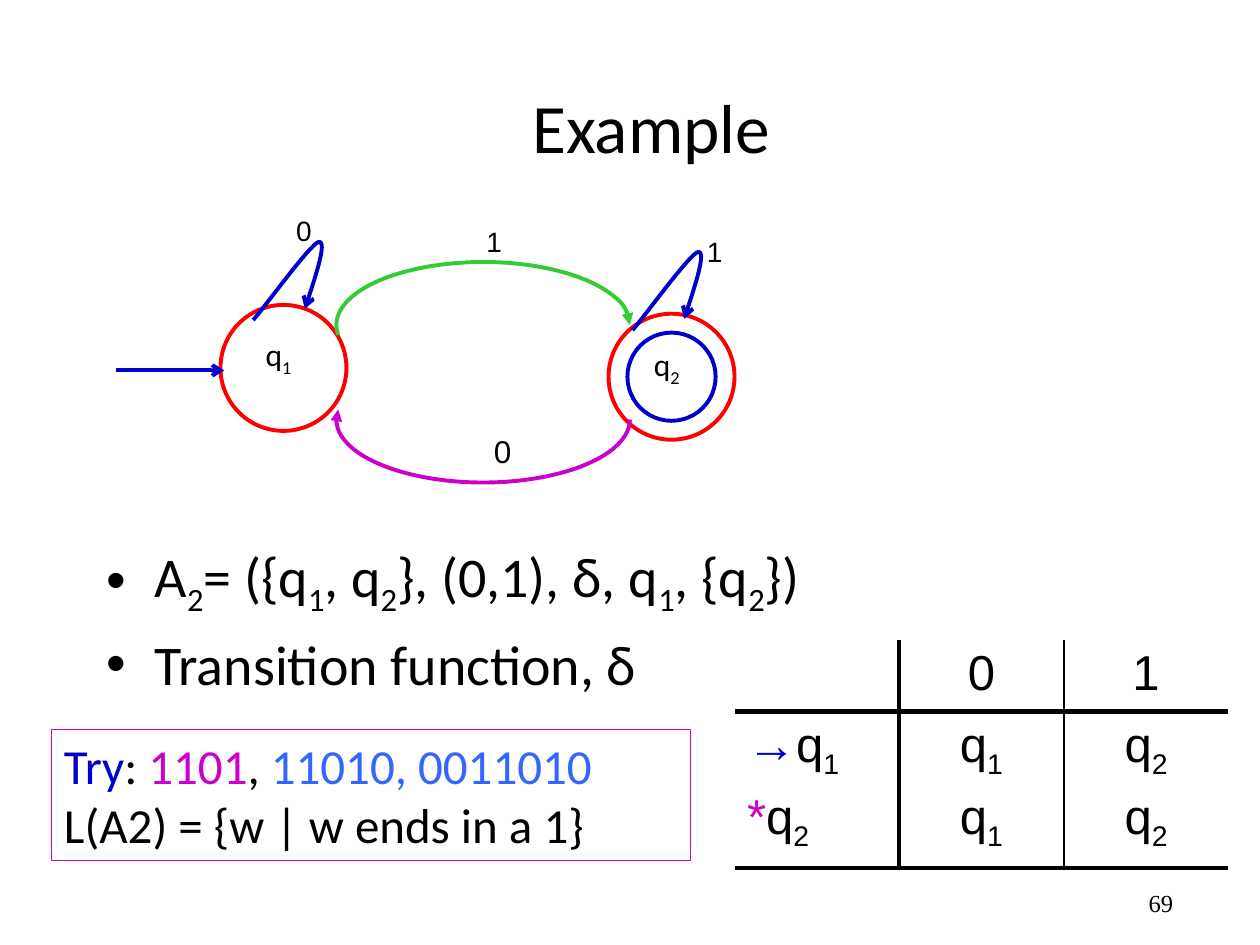
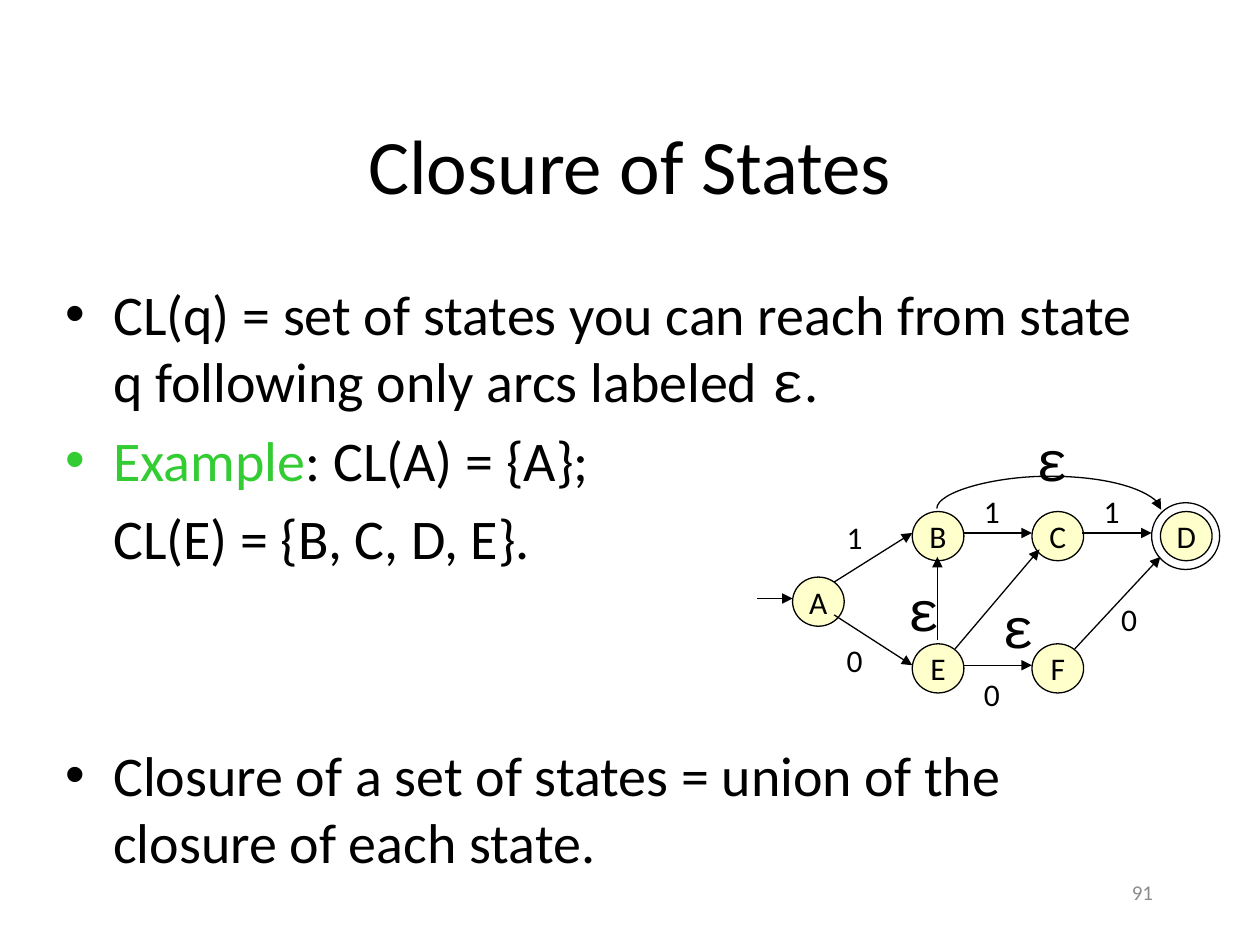
from dataclasses import dataclass
from typing import NamedTuple

from lxml.etree import SubElement
from pptx import Presentation
from pptx.dml.color import RGBColor
from pptx.enum.shapes import MSO_CONNECTOR, MSO_SHAPE
from pptx.enum.text import MSO_ANCHOR, PP_ALIGN
from pptx.oxml.ns import qn
from pptx.util import Inches, Pt

COLORS = {
    "black": "000000", "red": "FF0000", "navy": "0000CC", "sky": "3366FF",
    "green": "33CC33", "magenta": "CC00CC", "yellow": "FFFF99", "gray": "8C8C8C",
}
PLAIN_TABLE = "{2D5ABB26-0587-4C30-8999-92F81FD0307C}"
LEFT, CENTER, RIGHT = PP_ALIGN.LEFT, PP_ALIGN.CENTER, PP_ALIGN.RIGHT
Point = tuple[float, float]


class Run(NamedTuple):
    """Text in which an underscore lowers the next character."""
    text: str
    color: str | None = None
    font: str | None = None


@dataclass
class Para:
    runs: list[Run]
    bullet: bool = False
    indent: float = 0
    before: float = 0


class State(NamedTuple):
    name: str
    left: float
    top: float


class Arrow(NamedTuple):
    start: Point
    end: Point


class Label(NamedTuple):
    text: str
    left: float
    top: float
    size: float = 18


def rgb(color: str) -> RGBColor:
    return RGBColor.from_string(COLORS[color])


def box(left: float, top: float, width: float, height: float) -> list:
    return [Inches(v) for v in (left, top, width, height)]


# Text
def write(frame, content, *, size=18.0, font="Calibri", color="black",
          align=LEFT, anchor=MSO_ANCHOR.TOP, wrap=True) -> None:
    """Fill a text frame with a string or a list of Para."""
    if wrap is not None:
        frame.word_wrap = wrap
        frame.vertical_anchor = anchor
    paras = [Para([Run(content)])] if isinstance(content, str) else content
    for i, para in enumerate(paras):
        paragraph = frame.paragraphs[0] if i == 0 else frame.add_paragraph()
        paragraph.alignment = align
        paragraph.space_before = Pt(para.before)
        props = paragraph._p.get_or_add_pPr()
        if para.indent:
            props.set("marL", str(Inches(para.indent)))
            props.set("indent", str(-Inches(para.indent) if para.bullet else 0))
        if para.bullet:
            SubElement(props, qn("a:buFont"), typeface="Arial")
            SubElement(props, qn("a:buChar"), char="•")
        for run in para.runs:
            first, *rest = run.text.split("_")
            pieces = [(first, False)]
            for part in rest:
                pieces += [(part[0], True), (part[1:], False)]
            for text, lowered in pieces:
                if not text:
                    continue
                piece = paragraph.add_run()
                piece.text = text
                piece.font.size = Pt(size)
                piece.font.name = run.font or font
                piece.font.color.rgb = rgb(run.color or color)
                if lowered:
                    piece._r.get_or_add_rPr().set("baseline", "-25000")


def add_text(slide, area, content, **style) -> None:
    write(slide.shapes.add_textbox(*box(*area)).text_frame, content, **style)


def add_title(slide, area, text: str, size: float) -> None:
    add_text(slide, area, text, size=size, align=CENTER, anchor=MSO_ANCHOR.MIDDLE)


# Outlines and arrows
def outline(shape, color: str, width: float, head="", tail="") -> None:
    shape.line.color.rgb = rgb(color)
    shape.line.width = Pt(width)
    line = shape.line._get_or_add_ln()
    for tag, kind in (("a:headEnd", head), ("a:tailEnd", tail)):
        if kind:
            SubElement(line, qn(tag), type=kind)


def add_shape(slide, preset, area, color: str, width: float, fill="", **ends):
    shape = slide.shapes.add_shape(preset, *box(*area))
    shape.shadow.inherit = False
    if fill:
        shape.fill.solid()
        shape.fill.fore_color.rgb = rgb(fill)
        tint = shape._element.spPr.find(".//" + qn("a:srgbClr"))
        SubElement(tint, qn("a:alpha"), val="50000")
    else:
        shape.fill.background()
    outline(shape, color, width, **ends)
    return shape


def add_arrow(slide, arrow: Arrow, color="black", width=0.75, tail="triangle",
              kind=MSO_CONNECTOR.STRAIGHT):
    ends = [Inches(v) for v in (*arrow.start, *arrow.end)]
    connector = slide.shapes.add_connector(kind, *ends)
    outline(connector, color, width, tail=tail)
    SubElement(connector._element.spPr, qn("a:effectLst"))
    return connector


def add_self_loop(slide, left: float, top: float) -> None:
    """Loop arrow made of two cubic curves, its tip at the first point."""
    curves = [((0.41, 0.53), (0.5, 0.26), (0.59, -0.01), (0.52, 0)),
              ((0.52, 0), (0.45, 0.02), (0.09, 0.52), (0, 0.62))]
    steps = 16
    points = []
    for curve in curves:
        for step in range(steps + 1):
            t = step / steps
            weights = ((1 - t) ** 3, 3 * t * (1 - t) ** 2, 3 * t * t * (1 - t), t ** 3)
            x, y = (sum(w * p[axis] for w, p in zip(weights, curve)) for axis in (0, 1))
            points.append((Inches(left + x), Inches(top + y)))
    builder = slide.shapes.build_freeform(*points[0])
    builder.add_line_segments(points[1:], close=False)
    loop = builder.convert_to_shape()
    loop.shadow.inherit = False
    loop.fill.background()
    outline(loop, "navy", 2.25, head="arrow")


# Tables
def add_plain_table(slide, area, rows: int, columns: int):
    table = slide.shapes.add_table(rows, columns, *box(*area)).table
    table.first_row = table.horz_banding = False
    table._tbl.tblPr.find(qn("a:tableStyleId")).text = PLAIN_TABLE
    return table


def set_borders(cell, **widths: float) -> None:
    props = cell._tc.get_or_add_tcPr()
    for side in "LRTB":
        if widths.get(side):
            line = SubElement(props, qn(f"a:ln{side}"), w=str(Pt(widths[side])))
            fill = SubElement(line, qn("a:solidFill"))
            SubElement(fill, qn("a:srgbClr"), val=COLORS["black"])


def add_arc_label(slide, label: Label) -> None:
    cell = add_plain_table(slide, (label.left, label.top, 0.32, 0.37), 1, 1).cell(0, 0)
    cell.fill.background()
    write(cell.text_frame, label.text, size=label.size, font="Arial", wrap=None)


def add_transition_table(slide) -> None:
    def pair(first: list[Run], second: list[Run]) -> list[Para]:
        return [Para(first), Para(second, before=5.6)]

    rows = [
        ["", "0", "1"],
        [pair([Run("→", "navy"), Run("q_1")], [Run("*", "magenta"), Run("q_2")]),
         pair([Run("q_1")], [Run("q_1")]),
         pair([Run("q_2")], [Run("q_2")])],
    ]
    table = add_plain_table(slide, (5.83, 5.08, 3.92, 1.69), 2, 3)
    dividers = [0, 3, 1, 0]
    for r, (height, row) in enumerate(zip((0.56, 1.13), rows)):
        table.rows[r].height = Inches(height)
        for c, content in enumerate(row):
            cell = table.cell(r, c)
            set_borders(cell, L=dividers[c], R=dividers[c + 1], T=3 * r, B=3)
            cell.fill.background()
            write(cell.text_frame, content, size=28, font="Arial", wrap=None,
                  align=CENTER if c else LEFT)


# Slide: two-state automaton
def build_example(slide) -> None:
    add_title(slide, (0.92, 0.83, 8.5, 0.33), "Example", 39.6)
    add_text(slide, (7.33, 7, 2.08, 0.5), "69", size=14, font="Times New Roman", align=RIGHT)
    add_text(slide, (0.75, 4.25, 8.5, 2.42), [
        Para([Run("A_2= ({q_1, q_2}, (0,1), δ, q_1, {q_2})")], True, 0.38),
        Para([Run("Transition function, δ")], True, 0.38, 6.4),
    ], size=32)

    # States
    for left, top, diameter, color in ((4.83, 2.49, 1, "red"), (4.98, 2.64, 0.7, "navy"),
                                       (1.75, 2.42, 1, "red")):
        add_shape(slide, MSO_SHAPE.OVAL, (left, top, diameter, diameter), color, 2.25)
    for state in (State("q_2", 5.09, 2.69), State("q_1", 2.01, 2.61)):
        add_text(slide, (state.left, state.top, 0.51, 0.5), state.name, wrap=False)

    # Transitions
    add_self_loop(slide, 2.01, 1.92)
    add_self_loop(slide, 5.02, 2)
    forward = add_shape(slide, MSO_SHAPE.ARC, (2.67, 2.08, 2.33, 1), "green", 2.25,
                        tail="triangle")
    back = add_shape(slide, MSO_SHAPE.ARC, (2.67, 2.83, 2.33, 1), "magenta", 2.25,
                     head="triangle")
    back._element.spPr.find(qn("a:xfrm")).set("flipV", "1")
    for arc in (forward, back):
        arc.adjustments[0], arc.adjustments[1] = 105.62, 0
    for label in (Label("1", 3.76, 1.75, 16), Label("0", 3.82, 3.4),
                  Label("0", 2.25, 1.67, 16), Label("1", 5.51, 1.83, 16)):
        add_arc_label(slide, label)
    add_arrow(slide, Arrow((0.92, 2.94), (1.78, 2.94)), "navy", 2.25, "arrow")

    # Transition table and words to try
    add_transition_table(slide)
    exercise = add_shape(slide, MSO_SHAPE.RECTANGLE, (0.41, 5.79, 5.07, 1.04), "magenta", 0.75)
    write(exercise.text_frame, [
        Para([Run("Try", "navy"), Run(": "), Run("1101", "magenta"), Run(", "),
              Run("11010, 0011010", "sky")]),
        Para([Run("L(A2) = {w | w ends in a 1}")]),
    ], size=28, wrap=False)


# Slide: closure of states
def build_closure(slide) -> None:
    add_text(slide, (7.17, 6.83, 2.08, 0.5), "91", size=12, color="gray", align=RIGHT,
             anchor=MSO_ANCHOR.MIDDLE)
    add_title(slide, (0.75, 0.67, 8.5, 1.25), "Closure of States", 44)
    add_text(slide, (0.42, 2.17, 8.83, 5), [
        Para([Run("CL(q) = set of states you can reach from state q following only "
                  "arcs labeled "), Run("ε", font="Courier New"), Run(".")], True, 0.38),
        Para([Run("Example", "green"), Run(": CL(A) = {A};")], True, 0.38, 6.4),
        Para([Run("CL(E) = {B, C, D, E}.")], False, 0.38, 6.4),
        Para([Run("Closure of a set of states = union of the closure of each state.")],
             True, 0.38, 97),
    ], size=32)

    # States
    upper, middle, lower = 4.06, 4.58, 5.11
    for state in (State("C", 8.19, upper), State("E", 7.24, lower), State("F", 8.19, lower),
                  State("A", 6.29, middle), State("B", 7.24, upper), State("D", 9.21, upper)):
        node = add_shape(slide, MSO_SHAPE.OVAL, (state.left, state.top, 0.41, 0.39),
                         "black", 0.75, fill="yellow")
        write(node.text_frame, state.name, align=CENTER, anchor=MSO_ANCHOR.MIDDLE, wrap=False)
    add_shape(slide, MSO_SHAPE.OVAL, (9.14, 3.99, 0.54, 0.53), "black", 0.75)

    # Transitions
    for arrow in (Arrow((6.01, 4.75), (6.29, 4.75)), Arrow((6.62, 4.62), (7.24, 4.23)),
                  Arrow((6.62, 4.88), (7.24, 5.28)), Arrow((7.64, 4.23), (8.19, 4.23)),
                  Arrow((7.44, 5.08), (7.44, 4.42)), Arrow((7.58, 5.15), (8.25, 4.36)),
                  Arrow((7.64, 5.28), (8.19, 5.28)), Arrow((8.59, 4.23), (9.14, 4.23)),
                  Arrow((8.53, 5.15), (9.21, 4.42))):
        add_arrow(slide, arrow)

    # Curve from B over C to D: an upright connector turned by 90 degrees
    bow = add_arrow(slide, Arrow((8.32, 3.15), (8.33, 4.93)), kind=MSO_CONNECTOR.CURVE)
    frame = bow._element.spPr.find(qn("a:xfrm"))
    frame.set("rot", "5400000")
    frame.set("flipV", "1")
    geometry = bow._element.spPr.find(qn("a:prstGeom"))
    guides = geometry.find(qn("a:avLst"))
    if guides is None:
        guides = SubElement(geometry, qn("a:avLst"))
    SubElement(guides, qn("a:gd"), name="adj1", fmla="val -2600000")

    # Arc labels
    for label in (Label("1", 6.62, 4.06), Label("1", 7.71, 3.86), Label("1", 8.66, 3.86),
                  Label("0", 6.62, 5.04), Label("0", 8.8, 4.71), Label("0", 7.71, 5.31)):
        add_text(slide, (label.left, label.top, 0.38, 0.5), label.text, wrap=False)
    for label in (Label("ε", 8.12, 3.33, 32), Label("ε", 7.1, 4.52, 32),
                  Label("ε", 7.85, 4.65, 32)):
        add_text(slide, (label.left, label.top, 0.44, 0.63), label.text, size=label.size,
                 font="Courier New", wrap=False)


def main() -> None:
    deck = Presentation()
    deck.slide_width, deck.slide_height = Inches(10), Inches(7.5)
    for build in (build_example, build_closure):
        build(deck.slides.add_slide(deck.slide_layouts[6]))
    deck.save("out.pptx")


if __name__ == "__main__":
    main()
